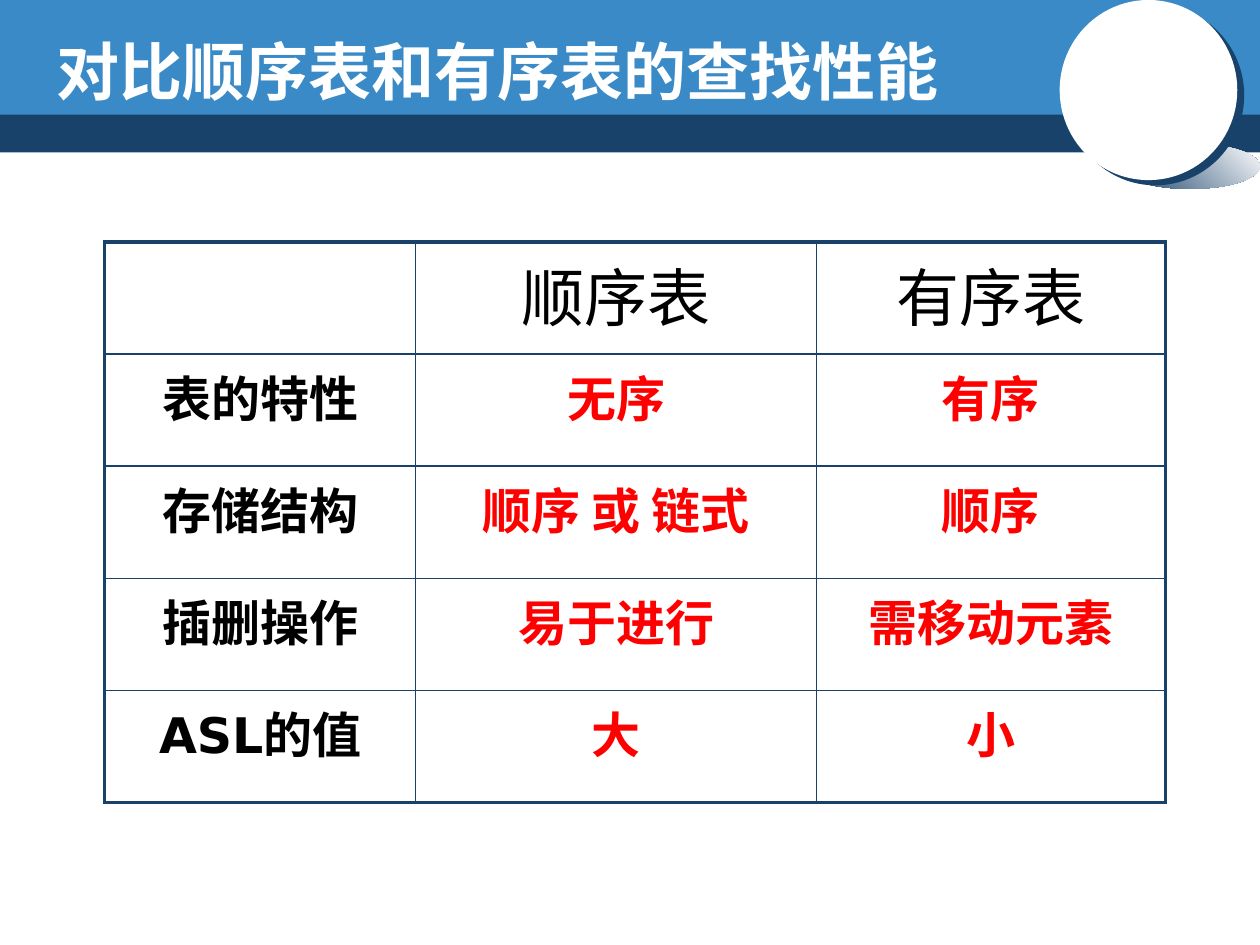
from lxml.etree import SubElement as Sub
from pptx import Presentation
from pptx.dml.color import RGBColor as Rgb
from pptx.enum.shapes import MSO_SHAPE as Shape
from pptx.enum.text import MSO_ANCHOR as Anchor, PP_ALIGN as Align
from pptx.oxml.ns import qn
from pptx.util import Inches, Pt

HUES = {"navy": "19426B", "blue": "398AC7", "white": "FFFFFF",
        "black": "000000", "red": "FF0000"}
CJK = "Noto Sans CJK SC"
ROWS = [
    ["", "顺序表", "有序表"],
    ["表的特性", "无序", "有序"],
    ["存储结构", "顺序 或 链式", "顺序"],
    ["插删操作", "易于进行", "需移动元素"],
    ["ASL的值", "大", "小"],
]


def hue(name):
    return Rgb.from_string(HUES[name])


def write(frame, text, size=28, color="black", bold=False, font=CJK,
          align=Align.LEFT, before=20):
    para = frame.paragraphs[0]
    para.alignment = align
    gap = Sub(para._p.get_or_add_pPr(), qn("a:spcBef"))
    Sub(gap, qn("a:spcPct"), val=str(before * 1000))
    run = para.add_run()
    run.text = text
    run.font.size, run.font.bold, run.font.name = Pt(size), bold, font
    run.font.color.rgb = hue(color)
    Sub(run._r.get_or_add_rPr(), qn("a:ea"), typeface=CJK)


class Deck:
    """Draws styled elements on a slide with a grid of 1000 columns by 750 rows."""

    def __init__(self, cols=1000, rows=750):
        self.show = Presentation()
        self.show.slide_width, self.show.slide_height = Inches(10), Inches(7.5)
        self.unit = (self.show.slide_width // cols, self.show.slide_height // rows)
        self.items = self.show.slides.add_slide(self.show.slide_layouts[6]).shapes

    def place(self, *box):
        return [n * self.unit[i % 2] for i, n in enumerate(box)]

    def shape(self, kind, box, color, fade=None):
        item = self.items.add_shape(kind, *self.place(*box))
        item.shadow.inherit = False
        item.line.fill.background()
        if fade:
            item.fill.gradient()
            item.fill.gradient_angle = 45
            for stop, name in zip(item.fill.gradient_stops, (color, fade)):
                stop.color.rgb = hue(name)
        else:
            item.fill.solid()
            item.fill.fore_color.rgb = hue(color)
        return item

    def shade(self, item, color, dist, angle):
        effects = item._element.spPr.find(qn("a:effectLst"))
        drop = Sub(effects, qn("a:outerShdw"), dist=str(Pt(dist)),
                   dir=str(angle * 60000), algn="ctr", rotWithShape="0")
        Sub(drop, qn("a:srgbClr"), val=HUES[color])

    def title(self, box, text):
        frame = self.items.add_textbox(*self.place(*box)).text_frame
        frame.word_wrap = True
        frame.vertical_anchor = Anchor.MIDDLE
        write(frame, text, size=36, color="white", bold=True, before=50)

    def frame(self, cell, heavy):
        for side in "LRTB":
            width = Pt(2.25 if side in heavy else 1)
            line = Sub(cell._tc.get_or_add_tcPr(), qn(f"a:ln{side}"), w=str(width))
            Sub(Sub(line, qn("a:solidFill")), qn("a:srgbClr"), val=HUES["navy"])
        cell.fill.background()

    def table(self, box, widths, data):
        grid = self.items.add_table(len(data), len(widths), *self.place(*box)).table
        grid.first_row = grid.horz_banding = False
        for col, width in zip(grid.columns, widths):
            col.width = width * self.unit[0]
        for r, row in enumerate(data):
            for c, text in enumerate(row):
                cell = grid.cell(r, c)
                edges = {"T": r == 0, "B": r == len(data) - 1,
                         "L": c == 0, "R": c == len(row) - 1}
                self.frame(cell, [side for side, outer in edges.items() if outer])
                if text:
                    write(cell.text_frame, text, size=28 if r else 36,
                          color="red" if r and c else "black", bold=r > 0,
                          font="DejaVu Sans", align=Align.CENTER)


def main():
    deck = Deck()
    deck.shape(Shape.RECTANGLE, (0, 87, 1000, 34), "navy")
    deck.shape(Shape.RECTANGLE, (0, 0, 1000, 91), "blue")
    deck.shape(Shape.OVAL, (889, 114, 111, 36), "navy", fade="white")
    disc = deck.shape(Shape.OVAL, (841, 0, 141, 143), "white")
    deck.shade(disc, "navy", dist=5, angle=37)
    deck.table((83, 192, 842, 445), (247, 318, 277), ROWS)
    deck.title((35, 21, 833, 70), "对比顺序表和有序表的查找性能")
    deck.show.save("out.pptx")


if __name__ == "__main__":
    main()
